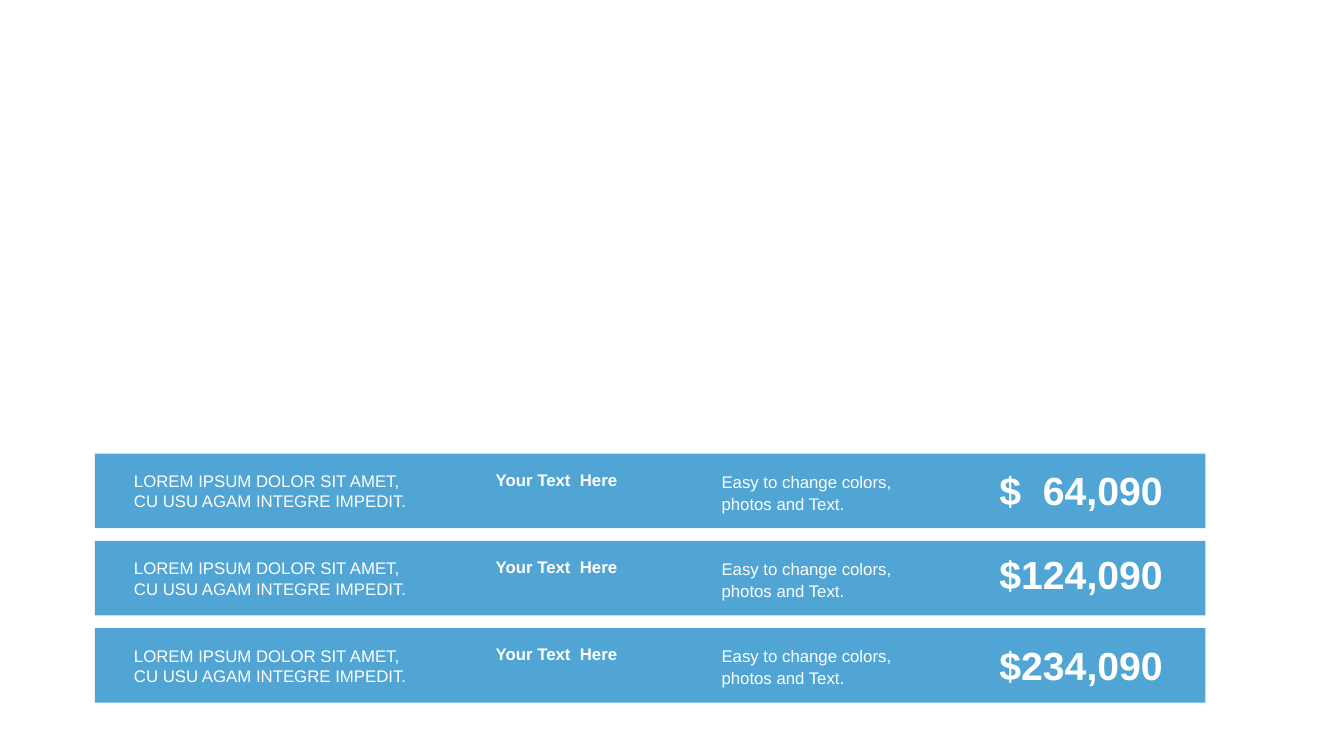
"""Build a slide with three price bars."""
from dataclasses import dataclass

from lxml import etree
from pptx import Presentation
from pptx.dml.color import RGBColor
from pptx.enum.shapes import MSO_SHAPE
from pptx.enum.text import MSO_ANCHOR, MSO_AUTO_SIZE, PP_ALIGN
from pptx.oxml.ns import qn
from pptx.slide import Slide
from pptx.util import Pt

RECTANGLE = MSO_SHAPE.RECTANGLE
TOP, MIDDLE = MSO_ANCHOR.TOP, MSO_ANCHOR.MIDDLE
LEFT, CENTER = PP_ALIGN.LEFT, PP_ALIGN.CENTER
GROW = MSO_AUTO_SIZE.SHAPE_TO_FIT_TEXT
BLUE = RGBColor(0x06, 0x80, 0xC3)
WHITE = RGBColor(0xFF, 0xFF, 0xFF)
FONT = "Arial"
BLANK_LAYOUT = 6
BAR_LEFT, BAR_TOP, BAR_WIDTH, BAR_HEIGHT = 67.7, 324, 793.4, 53.3
BAR_PITCH = 62.3
BAR_OPACITY = 70


@dataclass(frozen=True)
class Column:
    left: float
    width: float
    height: float
    size: float = 12
    bold: bool = False
    align: PP_ALIGN = LEFT
    anchor: MSO_ANCHOR = TOP
    line_spacing: float = 1.0


@dataclass(frozen=True)
class Price:
    text: str
    offset: float


PRICE_COLUMN = Column(702.7, 139, 41, size=28, bold=True, align=CENTER)
NOTE_COLUMN = Column(508.3, 166.3, 38.2, line_spacing=1.1)
LABEL_COLUMN = Column(347, 133.2, 21.6, bold=True)
LOREM_COLUMN = Column(88.6, 231.1, 36, anchor=MIDDLE)

LOREM = "LOREM IPSUM DOLOR SIT AMET,\nCU USU AGAM INTEGRE IMPEDIT."
LABEL = "Your Text  Here"
NOTE = "Easy to change colors, photos and Text."
PRICES = [Price("$  64,090", 5.8), Price("$124,090", 3.2), Price("$234,090", 5.8)]


def add_bar(page: Slide, top: float) -> None:
    bar = page.shapes.add_shape(
        RECTANGLE, Pt(BAR_LEFT), Pt(top), Pt(BAR_WIDTH), Pt(BAR_HEIGHT)
    )
    bar.shadow.inherit = False
    bar.line.fill.background()
    bar.fill.solid()
    bar.fill.fore_color.rgb = BLUE
    color = bar.fill._xPr.find(qn("a:solidFill")).find(qn("a:srgbClr"))
    etree.SubElement(color, qn("a:alpha"), val=str(BAR_OPACITY * 1000))


def add_text(page: Slide, column: Column, top: float, text: str) -> None:
    box = page.shapes.add_textbox(
        Pt(column.left), Pt(top), Pt(column.width), Pt(column.height)
    )
    frame = box.text_frame
    frame.word_wrap = True
    frame.auto_size = GROW
    frame.vertical_anchor = column.anchor
    frame.text = text
    for para in frame.paragraphs:
        para.alignment = column.align
        para.line_spacing = column.line_spacing
        for span in para.runs:
            span.font.name = FONT
            span.font.size = Pt(column.size)
            span.font.bold = column.bold
            span.font.color.rgb = WHITE


def main() -> None:
    deck = Presentation()
    deck.slide_width, deck.slide_height = Pt(960), Pt(540)
    page = deck.slides.add_slide(deck.slide_layouts[BLANK_LAYOUT])
    tops = [BAR_TOP + BAR_PITCH * index for index in range(len(PRICES))]
    for top in tops:
        add_bar(page, top)
    for top, price in zip(tops, PRICES):
        add_text(page, PRICE_COLUMN, top + price.offset, price.text)
    for top in tops:
        add_text(page, NOTE_COLUMN, top + 7.9, NOTE)
        add_text(page, LABEL_COLUMN, top + 7.9, LABEL)
        add_text(page, LOREM_COLUMN, top + 8.8, LOREM)
    deck.save("out.pptx")


if __name__ == "__main__":
    main()
